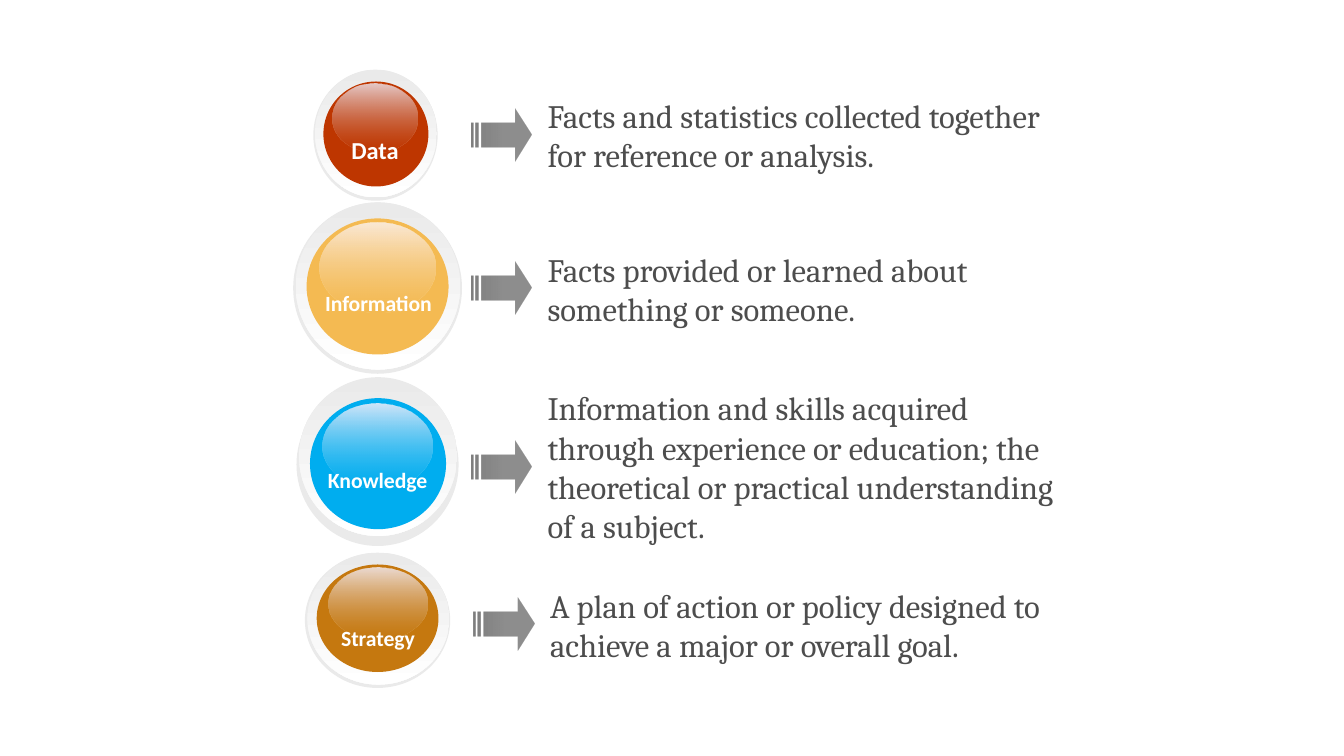
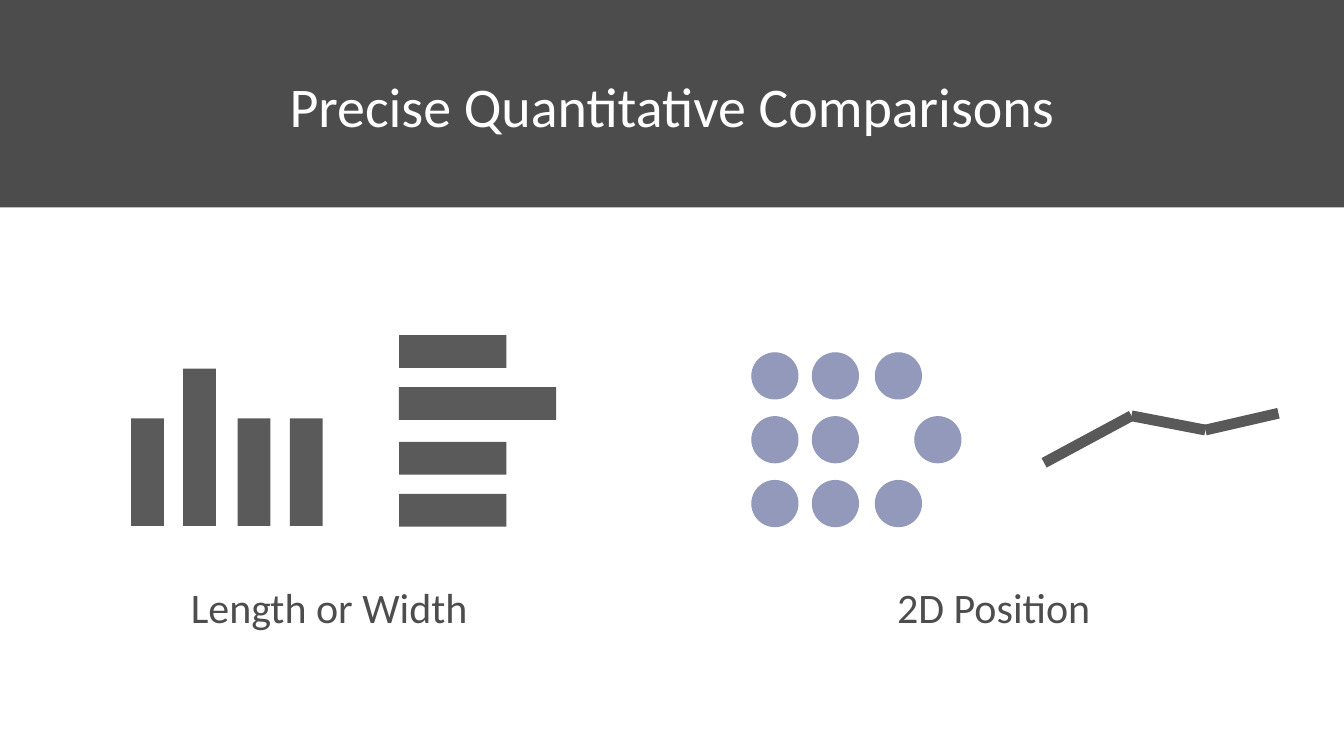
from typing import NamedTuple

from lxml import etree
from pptx import Presentation
from pptx.dml.color import RGBColor
from pptx.enum.shapes import MSO_CONNECTOR as Connector, MSO_SHAPE as Shape
from pptx.enum.text import MSO_ANCHOR as Anchor, MSO_AUTO_SIZE as AutoSize, PP_ALIGN as Align
from pptx.oxml.ns import qn
from pptx.util import Inches, Pt

BLANK, TITLE_ONLY = 6, 5


def color(value):
    return RGBColor.from_string(value)


class Badge(NamedTuple):
    name: str
    meaning: str
    fill: str
    shine: str
    rim: tuple
    disc: tuple
    ball: tuple
    gloss: tuple
    label: tuple
    size: int
    text_top: float
    shift: float


class Painter:
    """Holds the style and the slide being drawn."""
    HEAD, BODY = "Calibri", "Cambria"
    WHITE, INK, BAND = "FFFFFF", "4D4D4D", "4C4C4C"
    RIM, BAR, DOT, LINE = "EAEAEA", "5A5A5A", "9299BA", "595959"

    def __init__(self, deck):
        self.deck = deck
        self.slide = None

    def new_slide(self, layout):
        self.slide = self.deck.slides.add_slide(self.deck.slide_layouts[layout])

    def group(self):
        return self.slide.shapes.add_group_shape().shapes

    def shape(self, kind, at, fill, parent=None, line=None):
        box = (parent or self.slide.shapes).add_shape(kind, *map(Inches, at))
        self.paint(box, fill)
        if line:
            box.line.color.rgb = color(fill)
            box.line.width = Pt(line)
        return box

    def paint(self, box, fill):
        """Fill with one colour, or with (angle, (position, colour, opacity), ...)."""
        box.shadow.inherit = False
        box.line.fill.background()
        if isinstance(fill, str):
            box.fill.solid()
            box.fill.fore_color.rgb = color(fill)
            return
        angle, *stops = fill
        gradient = etree.Element(qn("a:gradFill"), rotWithShape="1")
        stop_list = etree.SubElement(gradient, qn("a:gsLst"))
        for position, value, opacity in stops:
            stop = etree.SubElement(stop_list, qn("a:gs"), pos=str(position * 1000))
            tint = etree.SubElement(stop, qn("a:srgbClr"), val=value)
            if opacity < 100:
                etree.SubElement(tint, qn("a:alpha"), val=str(opacity * 1000))
        etree.SubElement(gradient, qn("a:lin"), ang=str(angle * 60000), scaled="0")
        box._element.spPr.find(qn("a:ln")).addprevious(gradient)

    def add_words(self, box, words, font, size, ink, align=Align.CENTER, anchor=Anchor.TOP):
        frame = box.text_frame
        frame.word_wrap = True
        frame.auto_size = AutoSize.NONE
        frame.vertical_anchor = anchor
        para = frame.paragraphs[0]
        para.alignment = align
        span = para.add_run()
        span.text = words
        span.font.name, span.font.size = font, Pt(size)
        span.font.color.rgb = color(ink)
        return span

    def text(self, at, *style, parent=None, **options):
        box = (parent or self.slide.shapes).add_textbox(*map(Inches, at))
        return self.add_words(box, *style, **options)

    def title(self, words):
        band = self.shape(Shape.RECTANGLE, (0, 0, 16, 2.47), self.BAND)
        title = self.slide.shapes.title
        title._element.addprevious(band._element)
        title.left, title.top, title.width, title.height = map(Inches, (2, 0.8, 12, 0.91))
        self.add_words(title, words, self.HEAD, 48, self.WHITE)

    def caption(self, left, words):
        self.text((left, 6.87, 4.06, 0.71), words, self.HEAD, 36, self.INK)

    def arrow(self, left, top):
        """Block arrow with two thin bars behind its tail."""
        head = [(0.52, 0), (0.52, 0.17), (0.12, 0.17), (0.12, 0.46),
                (0.52, 0.46), (0.52, 0.63), (0.72, 0.31)]
        tails = [[(a, 0.17), (a, 0.46), (b, 0.46), (b, 0.17)]
                 for a, b in ((0.05, 0.09), (0, 0.03))]
        builder = None
        for outline in (head, *tails):
            points = [(Inches(left + x), Inches(top + y)) for x, y in outline]
            if builder is None:
                builder = self.slide.shapes.build_freeform(*points[0])
            else:
                builder.move_to(*points[0])
            builder.add_line_segments(points[1:], close=True)
        self.paint(builder.convert_to_shape(), (0, (0, "3A3A3A", 65), (54, self.INK, 63)))

    def badge(self, item):
        parent = self.group()
        for at, fill in (
            (item.rim, self.RIM),
            (item.disc, (90, (0, self.RIM, 100), (100, self.WHITE, 100))),
            (item.ball, item.fill),
            (item.gloss, (90, (0, item.shine, 100), (100, item.fill, 37))),
        ):
            self.shape(Shape.OVAL, at, fill, parent)
        span = self.text(item.label, item.name, self.HEAD, item.size, self.WHITE, parent=parent)
        span.font.bold = True
        span._r.get_or_add_rPr().set("baseline", "-25000")
        self.arrow(5.61 + item.shift, item.text_top + 0.08)
        self.text((6.42 + item.shift, item.text_top, 6.56, 0.79), item.meaning,
                  self.BODY, 28, self.INK, align=Align.LEFT, anchor=Anchor.MIDDLE)

    def polyline(self, points, width):
        parent = self.group()
        for start, end in zip(points, points[1:]):
            line = parent.add_connector(Connector.STRAIGHT, *map(Inches, start + end))
            line.line.color.rgb = color(self.LINE)
            line.line.width = Pt(width)
            etree.SubElement(line._element.spPr, qn("a:effectLst"))


BADGES = [
    Badge("Data", "Facts and statistics collected together for reference or analysis.",
          "BE3600", "E6CAC9", (3.73, 0.83, 1.48, 1.56), (3.75, 0.83, 1.45, 1.52),
          (3.85, 0.97, 1.25, 1.25), (3.96, 1, 1.01, 0.82), (3.73, 1.23, 1.47, 0.51),
          36, 1.21, 0),
    Badge("Information", "Facts provided or learned about something or someone.",
          "F4BA52", "FBE9D6", (3.49, 2.41, 2.01, 2.04), (3.52, 2.41, 1.96, 1.99),
          (3.65, 2.6, 1.69, 1.62), (3.81, 2.65, 1.37, 1.07), (3.63, 3.1, 1.75, 0.43),
          32, 3.04, 0),
    Badge("Knowledge", "Information and skills acquired through experience or education; "
          "the theoretical or practical understanding of a subject.",
          "00ADEF", "D2E6F9", (3.53, 4.56, 1.93, 1.94), (3.56, 4.49, 1.88, 1.89),
          (3.69, 4.74, 1.62, 1.56), (3.84, 4.8, 1.31, 1.02), (3.53, 5.21, 1.93, 0.38),
          32, 5.16, 0),
    Badge("Strategy", "A plan of action or policy designed to achieve a major or overall goal.",
          "C5780F", "ECDBD3", (3.63, 6.58, 1.73, 1.61), (3.66, 6.58, 1.69, 1.57),
          (3.77, 6.72, 1.45, 1.28), (3.91, 6.76, 1.18, 0.85), (3.88, 7.09, 1.24, 0.3),
          32, 7.04, 0.03),
]


def definitions(painter):
    painter.new_slide(BLANK)
    for item in BADGES:
        painter.badge(item)


def comparisons(painter):
    painter.new_slide(TITLE_ONLY)
    painter.title("Precise Quantitative Comparisons")

    # Columns and rows of bars share lengths and spacing
    bars = list(zip((0, 0.62, 1.27, 1.89), (1.28, 1.87, 1.28, 1.28)))
    columns, rows = painter.group(), painter.group()
    for offset, length in bars:
        painter.shape(Shape.RECTANGLE, (1.56 + offset, 6.26 - length, 0.39, length),
                      painter.BAR, columns)
        painter.shape(Shape.RECTANGLE, (4.75, 3.99 + offset, length, 0.39),
                      painter.BAR, rows)
    painter.caption(1.89, "Length or Width")

    # Grid of dots with one out of place
    dots = painter.group()
    for row in range(3):
        for left in (8.95, 9.67, 10.89 if row == 1 else 10.42):
            painter.shape(Shape.OVAL, (left, 4.2 + row * 0.76, 0.55, 0.55),
                          painter.DOT, dots, line=0.85)

    # Trend line
    painter.polyline([(12.43, 5.51), (13.47, 4.95), (14.35, 5.12), (15.22, 4.92)], 9.25)
    painter.caption(9.8, "2D Position")


def main():
    deck = Presentation()
    deck.slide_width, deck.slide_height = Inches(16), Inches(9)
    painter = Painter(deck)
    definitions(painter)
    comparisons(painter)
    deck.save("out.pptx")


if __name__ == "__main__":
    main()
